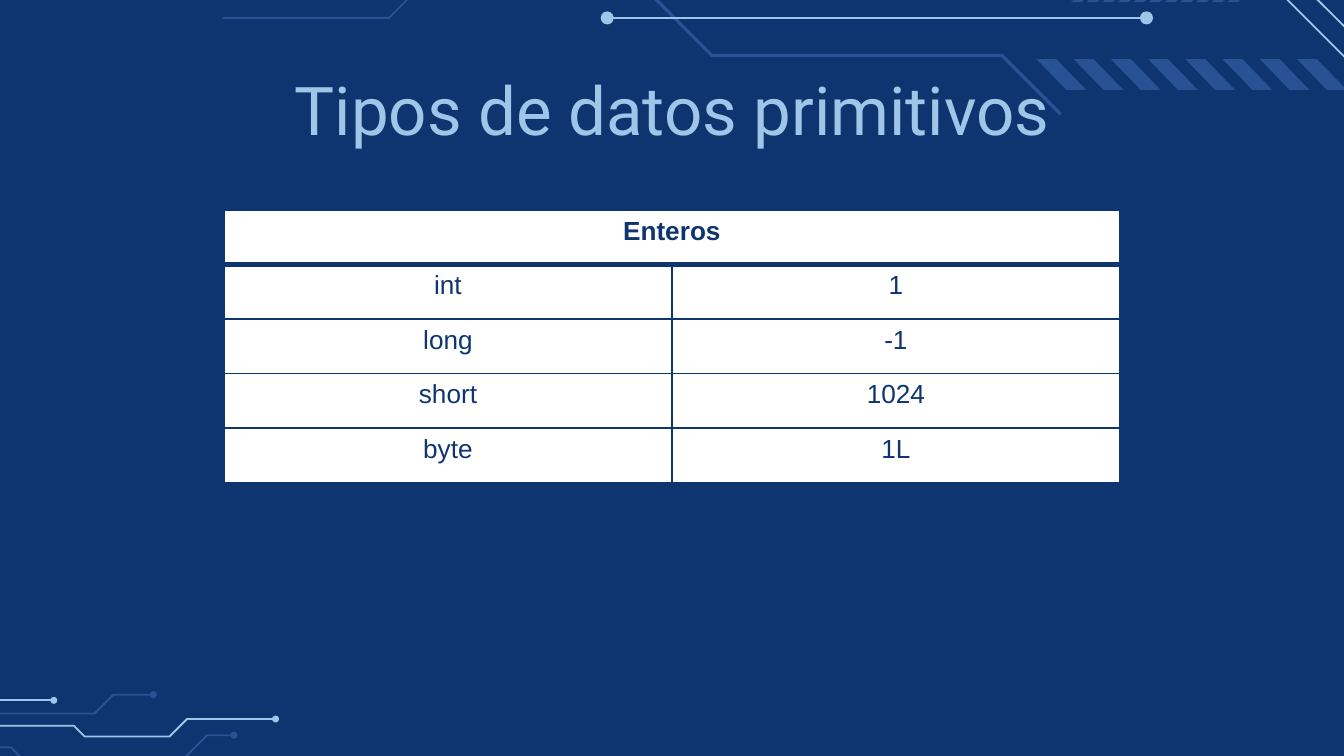
from lxml import etree
from pptx import Presentation
from pptx.dml.color import RGBColor
from pptx.enum.shapes import MSO_CONNECTOR, MSO_SHAPE
from pptx.enum.text import MSO_ANCHOR, MSO_AUTO_SIZE, PP_ALIGN
from pptx.oxml.ns import qn
from pptx.util import Pt

NAVY = RGBColor(0x0F, 0x35, 0x70)
BLUE = RGBColor(0x28, 0x52, 0x93)
SKY = RGBColor(0x9F, 0xC5, 0xE8)
WHITE = RGBColor(0xFF, 0xFF, 0xFF)

CENTER = PP_ALIGN.CENTER
TOP = MSO_ANCHOR.TOP
NO_AUTOFIT = MSO_AUTO_SIZE.NONE
OVAL = MSO_SHAPE.OVAL
STRAIGHT = MSO_CONNECTOR.STRAIGHT

TITLE_ONLY = 5

# Circuit traces: colour, width, corner points
TRACES = [
    (SKY, 1, [(298.8, -65.2), (353.5, -65.2), (410.8, -7.6), (507.6, -7.6),
              (547.2, -47.2), (642.6, -47.2), (747.8, 58)]),
    (BLUE, 1.75, [(269.3, -10.8), (340.9, -10.8), (381.4, 29.8),
                  (536.8, 29.8), (568.2, 61.2)]),
    (BLUE, 1, [(119.3, 9.6), (208.4, 9.6), (245.4, -27.4), (312.8, -27.4)]),
    (SKY, 1, [(-124.6, 388.8), (39.6, 388.8), (45.4, 394.6), (90.8, 394.6),
              (100.2, 385.2), (147.6, 385.2)]),
    (BLUE, 1, [(-78.5, 400.3), (5.8, 400.3), (14.5, 409), (105.8, 409)]),
    (BLUE, 1, [(95.8, 409), (110.9, 393.9), (125.3, 393.9)]),
    (BLUE, 1, [(-82.1, 368.6), (-68.4, 382.3), (50.6, 382.3),
               (60.7, 372.2), (82.1, 372.2)]),
]

# Straight lines: start and end
LINES = [((327.6, 9.6), (614.2, 9.6)),
         ((658.1, -47.5), (765.4, 59)),
         ((-56.2, 375.2), (28.8, 375.2))]

# Line ends: colour, diameter, centre
DOTS = [(SKY, 7, 325.3, 9.6), (SKY, 7, 614.2, 9.6),
        (SKY, 3.7, 147.6, 385.2), (BLUE, 3.7, 125.3, 393.9),
        (BLUE, 3.7, 82.1, 372.2), (SKY, 3.7, 28.8, 375.2)]

# Repeated pieces: count, step, left, top, outline
PATTERNS = [
    (8, 19.94, 555.3, 31.7, [(0, 0), (10.6, 0), (26.5, 16.4), (15.9, 16.4)]),
    (11, 8.37, 573.8, -13.7, [(0, 14.8), (8.6, 7.2), (0.9, 0), (6.2, 0),
                              (13.7, 7.2), (5.7, 14.8)]),
]

HEADING = "Enteros"
ROWS = [("int", "1"), ("long", "-1"), ("short", "1024"), ("byte", "1L")]


class SlideBuilder:
    title_font = "Roboto"
    table_font = "Arial"

    def __init__(self, slide):
        self.slide = slide
        self.shapes = slide.shapes

    def background(self, color):
        fill = self.slide.background.fill
        fill.solid()
        fill.fore_color.rgb = color

    def outline(self, points, closed):
        pairs = [(Pt(x), Pt(y)) for x, y in points]
        builder = self.shapes.build_freeform(*pairs[0])
        builder.add_line_segments(pairs[1:], close=closed)
        shape = builder.convert_to_shape()
        shape.shadow.inherit = False
        return shape

    def trace(self, color, width, points):
        shape = self.outline(points, False)
        shape.fill.background()
        shape.line.color.rgb = color
        shape.line.width = Pt(width)

    def solid(self, color, points):
        self.paint(self.outline(points, True), color)

    def paint(self, shape, color):
        shape.shadow.inherit = False
        shape.fill.solid()
        shape.fill.fore_color.rgb = color
        shape.line.fill.background()

    def dot(self, color, size, x, y):
        shape = self.shapes.add_shape(OVAL, Pt(x - size / 2), Pt(y - size / 2),
                                      Pt(size), Pt(size))
        self.paint(shape, color)

    def line(self, start, end):
        connector = self.shapes.add_connector(
            STRAIGHT, *[Pt(value) for value in start + end])
        connector.line.color.rgb = SKY
        connector.line.width = Pt(1)
        etree.SubElement(connector.element.spPr, qn("a:effectLst"))

    def run(self, paragraph, text, font, size, color, bold=False):
        paragraph.alignment = CENTER
        run = paragraph.add_run()
        run.text = text
        run.font.name = font
        run.font.size = Pt(size)
        run.font.bold = bold
        run.font.color.rgb = color

    def title(self, text, left, top, width, height):
        title = self.shapes.title
        title.left, title.top = Pt(left), Pt(top)
        title.width, title.height = Pt(width), Pt(height)
        frame = title.text_frame
        frame.margin_left = frame.margin_right = 0
        frame.margin_top = frame.margin_bottom = 0
        frame.word_wrap = True
        frame.auto_size = NO_AUTOFIT
        frame.vertical_anchor = TOP
        self.run(frame.paragraphs[0], text, self.title_font, 36, SKY)
        # Keep the title in front of the decoration
        title.element.getparent().append(title.element)

    def borders(self, cell, **widths):
        properties = cell._tc.get_or_add_tcPr()
        for side in ("L", "R", "T", "B"):
            border = etree.SubElement(properties, qn(f"a:ln{side}"),
                                      w=str(Pt(widths.get(side, 1))))
            fill = etree.SubElement(border, qn("a:solidFill"))
            etree.SubElement(fill, qn("a:srgbClr"), val=str(NAVY))

    def table(self, heading, rows, left, top, width, row_height):
        count = len(rows) + 1
        table = self.shapes.add_table(count, 2, Pt(left), Pt(top), Pt(width),
                                      Pt(row_height * count)).table
        table.horz_banding = False
        for index, texts in enumerate([(heading, "")] + rows):
            is_heading = index == 0
            table.rows[index].height = Pt(row_height)
            for column, text in enumerate(texts):
                cell = table.cell(index, column)
                self.borders(cell, B=3 if is_heading else 1,
                             T=3 if index == 1 else 1)
                cell.fill.solid()
                cell.fill.fore_color.rgb = WHITE
                if text:
                    self.run(cell.text_frame.paragraphs[0], text,
                             self.table_font, 14, NAVY, is_heading)
        table.cell(0, 0).merge(table.cell(0, 1))


def main():
    presentation = Presentation()
    presentation.slide_width, presentation.slide_height = Pt(720), Pt(405)
    layout = presentation.slide_layouts[TITLE_ONLY]
    builder = SlideBuilder(presentation.slides.add_slide(layout))
    builder.background(NAVY)

    # Circuit decoration
    for color, width, points in TRACES:
        builder.trace(color, width, points)
    for start, end in LINES:
        builder.line(start, end)
    for color, size, x, y in DOTS:
        builder.dot(color, size, x, y)

    # Stripes and chevrons
    for count, step, left, top, corners in PATTERNS:
        for index in range(count):
            builder.solid(BLUE, [(left + index * step + x, top + y)
                                 for x, y in corners])

    # Title and table
    builder.title("Tipos de datos primitivos", 56.6, 36.7, 607, 38.2)
    builder.table(HEADING, ROWS, 120, 112.5, 480, 29.2)

    presentation.save("out.pptx")


if __name__ == "__main__":
    main()
